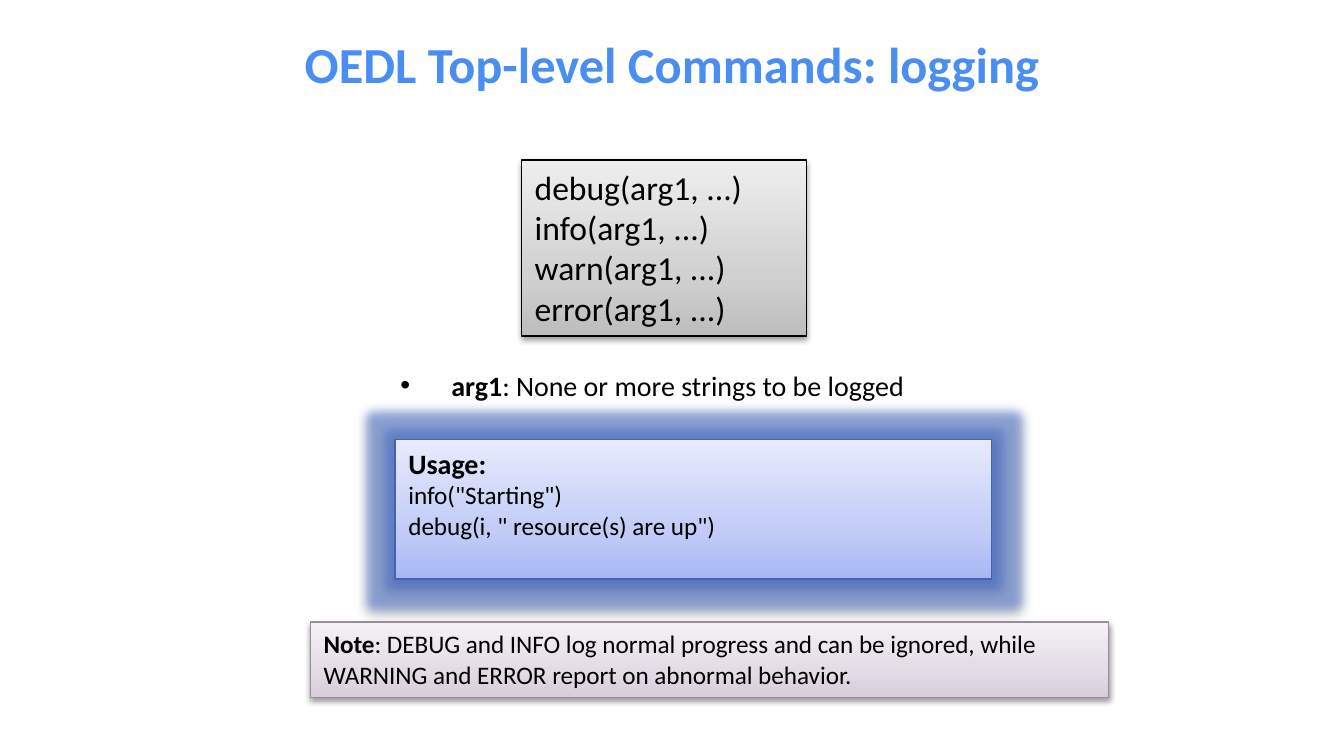
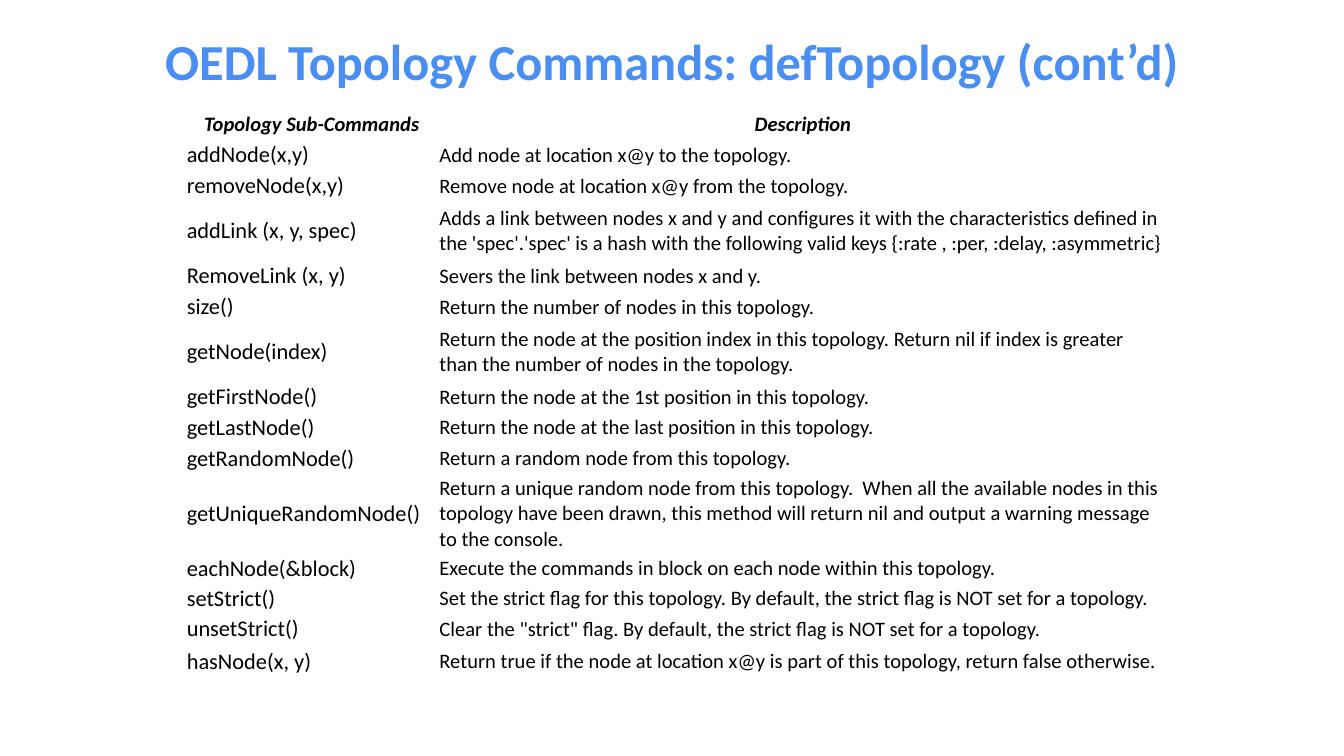
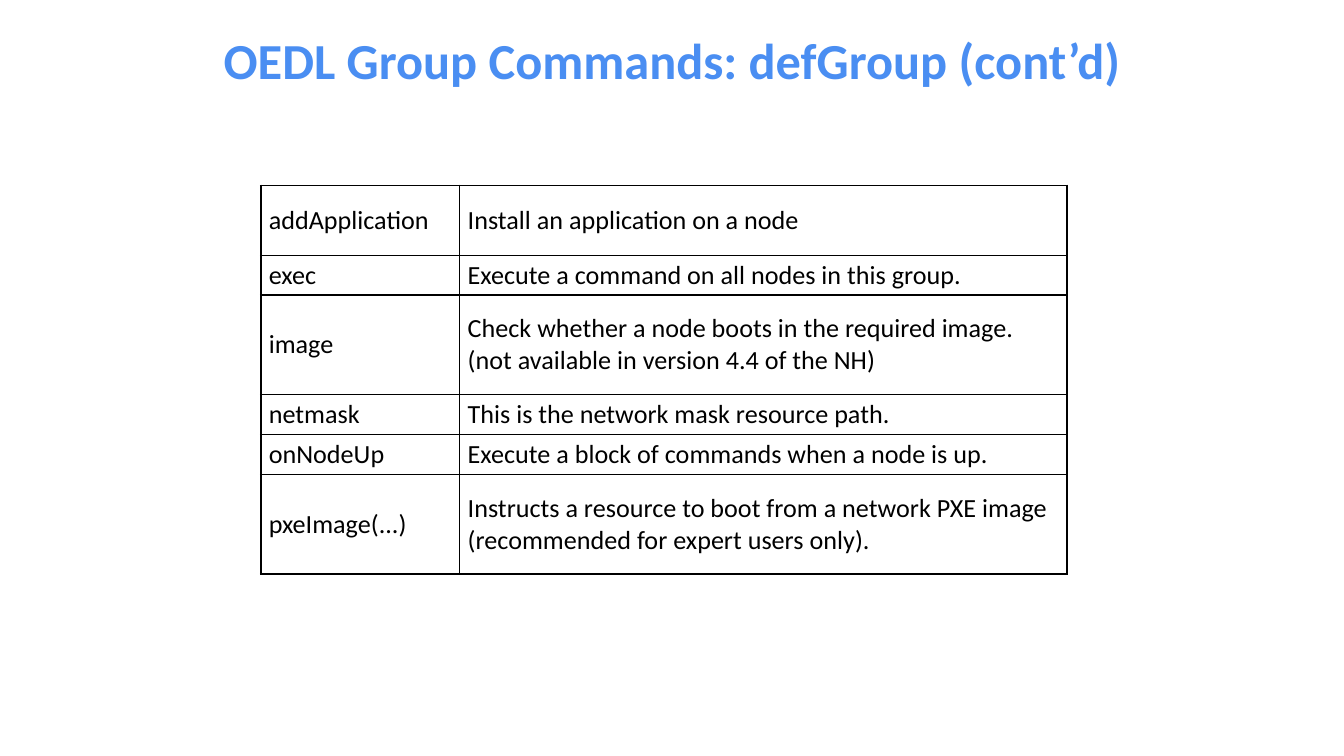
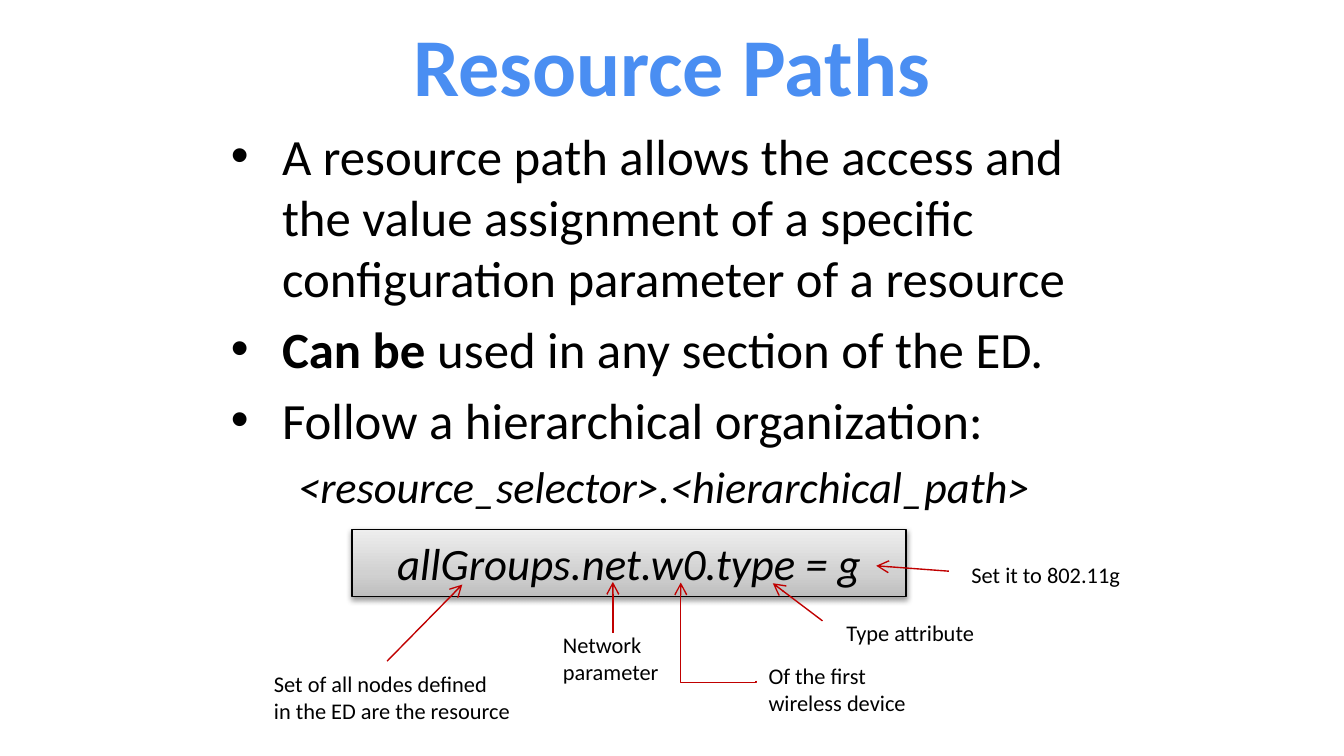
import copy
from dataclasses import dataclass
from typing import NamedTuple, Optional

import pptx
import pptx.dml.color
import pptx.enum.shapes
import pptx.enum.text
import pptx.oxml
import pptx.oxml.ns
import pptx.util
from lxml import etree
from pptx.util import Inches

FONT = "Calibri"
COLORS = {
    "title": "4A8EF2",
    "text": "000000",
    "arrow": "C00000",
    "glow": "4169C8",
    "usage_line": "4663AB",
    "note_line": "9A8C9D",
}
# Gradient stops, from the bottom edge up
GRADIENTS = {
    "grey": ("BDBDBD", "D1D1D1", "EEEEEE"),
    "blue": ("A8B7F4", "C2CCF6", "E7EBFD"),
    "mauve": ("D9CCDC", "E3DBE5", "F4F1F5"),
}
GRADIENT_POSITIONS = (0, 0.35, 1)
ALIGN = pptx.enum.text.PP_ALIGN
ANCHOR = pptx.enum.text.MSO_ANCHOR
AUTO_SIZE = pptx.enum.text.MSO_AUTO_SIZE
CONNECTOR = pptx.enum.shapes.MSO_CONNECTOR
qn = pptx.oxml.ns.qn


class Box(NamedTuple):
    left: float
    top: float
    width: float
    height: float

    def lengths(self) -> tuple:
        return tuple(Inches(value) for value in self)


class Shadow(NamedTuple):
    alpha: int
    blur: float
    distance: float


@dataclass
class Para:
    """A paragraph; lead is its bold opening."""
    text: str
    size: float
    lead: str = ""
    bold: bool = False
    italic: bool = False
    align: ALIGN = ALIGN.LEFT
    color: str = "text"
    bullet: bool = False
    level: int = 0
    margin: float = 0
    hanging: float = 0
    before: float = 0


@dataclass
class Panel:
    box: Box
    gradient: str
    line: str
    paras: list
    shadow: Shadow = Shadow(38, 3.1, 1.6)
    glow: float = 0


@dataclass
class Grid:
    box: Box
    columns: tuple
    heights: list
    rows: list
    margins: tuple
    border: Optional[float] = None


class Arrow(NamedTuple):
    x1: float
    y1: float
    x2: float
    y2: float


class Label(NamedTuple):
    box: Box
    lines: tuple


# Drawing helpers

def rgb(name: str) -> pptx.dml.color.RGBColor:
    return pptx.dml.color.RGBColor.from_string(COLORS[name])


def add_xml(parent, tag: str, **attributes):
    child = etree.SubElement(parent, qn(tag))
    for key, value in attributes.items():
        child.set(key, str(value))
    return child


def write(frame, paras: list) -> None:
    for index, para in enumerate(paras):
        paragraph = frame.paragraphs[0] if index == 0 else frame.add_paragraph()
        paragraph.alignment = para.align
        paragraph.level = para.level
        font = paragraph.font
        font.name, font.size = FONT, pptx.util.Pt(para.size)
        font.bold, font.italic = para.bold, para.italic
        font.color.rgb = rgb(para.color)
        if para.lead:
            lead = paragraph.add_run()
            lead.text = para.lead
            lead.font.bold = True
        paragraph.add_run().text = para.text
        if para.before:
            paragraph.space_before = pptx.util.Pt(para.before)
        properties = paragraph._p.get_or_add_pPr()
        if para.margin:
            properties.set("marL", str(Inches(para.margin)))
            properties.set("indent", str(Inches(-para.hanging)))
        if para.bullet:
            defaults = properties.find(qn("a:defRPr"))
            for tag, key, value in (("a:buFont", "typeface", "Arial"),
                                    ("a:buChar", "char", "•")):
                mark = etree.Element(qn(tag))
                mark.set(key, value)
                defaults.addprevious(mark)


def new_slide(deck, title: str, top: float = 0, height: float = 0.94, size: float = 27):
    slide = deck.slides.add_slide(deck.slide_layouts[5])
    heading = slide.shapes.title
    heading.left, heading.top, heading.width, heading.height = Box(0, top, 10, height).lengths()
    heading.text_frame.vertical_anchor = ANCHOR.MIDDLE
    write(heading.text_frame, [Para(title, size, bold=True, align=ALIGN.CENTER, color="title")])
    return slide


def add_text(slide, box: Box, paras: list, wrap: bool = True) -> None:
    frame = slide.shapes.add_textbox(*box.lengths()).text_frame
    frame.word_wrap = wrap
    frame.auto_size = AUTO_SIZE.NONE if wrap else AUTO_SIZE.SHAPE_TO_FIT_TEXT
    write(frame, paras)


def add_panel(slide, panel: Panel) -> None:
    shape = slide.shapes.add_shape(
        pptx.enum.shapes.MSO_SHAPE.RECTANGLE, *panel.box.lengths())
    shape.fill.gradient()
    shape.fill.gradient_angle = 90
    stops = next(shape.element.iter(qn("a:gsLst")))
    stops.append(copy.deepcopy(stops[-1]))
    for stop, position, color in zip(
            shape.fill.gradient_stops, GRADIENT_POSITIONS, GRADIENTS[panel.gradient]):
        stop.position = position
        stop.color.rgb = pptx.dml.color.RGBColor.from_string(color)
    shape.line.color.rgb = rgb(panel.line)
    shape.line.width = pptx.util.Pt(0.75)

    # Glow and soft shadow
    shape.shadow.inherit = False
    effects = shape.element.spPr.find(qn("a:effectLst"))
    if panel.glow:
        glow = add_xml(effects, "a:glow", rad=Inches(panel.glow))
        tint = add_xml(glow, "a:srgbClr", val=COLORS["glow"])
        add_xml(tint, "a:alpha", val=50000)
    shadow = add_xml(effects, "a:outerShdw", blurRad=pptx.util.Pt(panel.shadow.blur),
                     dist=pptx.util.Pt(panel.shadow.distance), dir=5400000, rotWithShape=0)
    tint = add_xml(shadow, "a:srgbClr", val=COLORS["text"])
    add_xml(tint, "a:alpha", val=panel.shadow.alpha * 1000)

    frame = shape.text_frame
    frame.word_wrap = True
    frame.vertical_anchor = ANCHOR.TOP
    write(frame, panel.paras)


def add_grid(slide, grid: Grid) -> None:
    graphic = slide.shapes.add_table(
        len(grid.rows), len(grid.columns), *grid.box.lengths())
    table = graphic.table
    table.first_row = table.horz_banding = False
    for column, width in zip(table.columns, grid.columns):
        column.width = Inches(width)
    for row, height, contents in zip(table.rows, grid.heights, grid.rows):
        row.height = Inches(height)
        for cell, paras in zip(row.cells, contents):
            cell.fill.background()
            cell.vertical_anchor = ANCHOR.MIDDLE
            cell.margin_left = cell.margin_right = Inches(grid.margins[0])
            cell.margin_top = cell.margin_bottom = Inches(grid.margins[1])
            write(cell.text_frame, paras)
    if grid.border:
        for properties in graphic.element.iter(qn("a:tcPr")):
            for index, side in enumerate("LRTB"):
                edge = add_xml(properties, f"a:ln{side}", w=pptx.util.Pt(grid.border))
                add_xml(add_xml(edge, "a:solidFill"), "a:srgbClr", val=COLORS["text"])
                properties.insert(index, edge)


def add_arrow(slide, arrow: Arrow, kind=CONNECTOR.STRAIGHT):
    connector = slide.shapes.add_connector(kind, *(Inches(value) for value in arrow))
    connector.line.color.rgb = rgb("arrow")
    connector.line.width = pptx.util.Pt(0.75)
    properties = connector.element.spPr
    add_xml(properties.find(qn("a:ln")), "a:tailEnd", type="arrow")
    add_xml(properties, "a:effectLst")
    return connector


# Slides

def logging_slide(deck) -> None:
    slide = new_slide(deck, "OEDL Top-level Commands: logging")
    add_text(slide, Box(2.88, 2.69, 6.19, 0.38), [
        Para(": None or more strings to be logged", 15, lead="arg1",
             bullet=True, margin=0.38, hanging=0.38, before=3)])
    levels = ("debug", "info", "warn", "error")
    panels = [
        Panel(Box(3.88, 1.19, 2.12, 1.31), "grey", "text",
              [Para(f"{level}(arg1, ...)", 18) for level in levels]),
        Panel(Box(2.94, 3.27, 4.44, 1.04), "blue", "usage_line",
              [Para("Usage:", 15, bold=True),
               Para('info("Starting")', 13.5),
               Para('debug(i, " resource(s) are up")', 13.5)],
              shadow=Shadow(35, 4, 3), glow=0.15),
        Panel(Box(2.31, 4.63, 5.94, 0.56), "mauve", "note_line",
              [Para(": DEBUG and INFO log normal progress and can be ignored, while "
                    "WARNING and ERROR report on abnormal behavior.", 13.5, lead="Note")]),
    ]
    for panel in panels:
        add_panel(slide, panel)


def topology_slide(deck) -> None:
    slide = new_slide(deck, "OEDL Topology Commands: defTopology (cont’d)", top=-0.02)
    commands = [
        ("addNode(x,y)", "Add node at location x@y to the topology.", 0.23),
        ("removeNode(x,y)", "Remove node at location x@y from the topology.", 0.23),
        ("addLink (x, y, spec)",
         "Adds a link between nodes x and y and configures it with the characteristics "
         "defined in the 'spec'.'spec' is a hash with the following valid keys "
         "{:rate , :per, :delay, :asymmetric}", 0.44),
        ("RemoveLink (x, y)", "Severs the link between nodes x and y.", 0.23),
        ("size()", "Return the number of nodes in this topology.", 0.23),
        ("getNode(index)",
         "Return the node at the position index in this topology. Return nil if index "
         "is greater than the number of nodes in the topology.", 0.44),
        ("getFirstNode()", "Return the node at the 1st position in this topology.", 0.23),
        ("getLastNode()", "Return the node at the last position in this topology.", 0.23),
        ("getRandomNode()", "Return a random node from this topology.", 0.23),
        ("getUniqueRandomNode()",
         "Return a unique random node from this topology.  When all the available nodes "
         "in this topology have been drawn, this method will return nil and output a "
         "warning message to the console.", 0.54),
        ("eachNode(&block)",
         "Execute the commands in block on each node within this topology.", 0.23),
        ("setStrict()", "Set the strict flag for this topology. By default, the strict "
         "flag is NOT set for a topology.", 0.22),
        ("unsetStrict()", 'Clear the "strict" flag. By default, the strict flag is NOT '
         "set for a topology.", 0.23),
        ("hasNode(x, y)", "Return true if the node at location x@y is part of this "
         "topology, return false otherwise.", 0.25),
    ]
    header = [[Para(text, 11, bold=True, italic=True, align=ALIGN.CENTER)]
              for text in ("Topology Sub-Commands", "Description")]
    rows = [[[Para(command, 12)], [Para(description, 11)]]
            for command, description, _ in commands]
    add_grid(slide, Grid(
        Box(1.38, 0.81, 7.31, 4.19), (1.88, 5.43),
        [0.23] + [height for _, _, height in commands], [header] + rows, (0.01, 0.01)))


def group_slide(deck) -> None:
    slide = new_slide(deck, "OEDL Group Commands: defGroup (cont’d)", height=0.88)
    commands = [
        ("addApplication", ["Install an application on a node"], 0.52),
        ("exec", ["Execute a command on all nodes in this group."], 0.29),
        ("image", ["Check whether a node boots in the required image.",
                   "(not available in version 4.4 of the NH)"], 0.74),
        ("netmask", ["This is the network mask resource path."], 0.29),
        ("onNodeUp", ["Execute a block of commands when a node is up."], 0.29),
        ("pxeImage(...)", ["Instructs a resource to boot from a network PXE image "
                           "(recommended for expert users only)."], 0.74),
    ]
    rows = [[[Para(command, 14)], [Para(line, 14) for line in lines]]
            for command, lines, _ in commands]
    add_grid(slide, Grid(
        Box(1.94, 1.38, 6, 2.87), (1.48, 4.52),
        [height for _, _, height in commands], rows, (0.06, 0.03), border=1))


def resource_slide(deck) -> None:
    slide = new_slide(deck, "Resource Paths", size=44)
    points = [
        ("", "A resource path allows the access and the value assignment of a specific "
             "configuration parameter of a resource"),
        ("Can be ", "used in any section of the ED."),
        ("", "Follow a hierarchical organization:"),
    ]
    paras = [Para(text, 27.2, lead=lead, bullet=True, margin=0.38, hanging=0.38, before=5.4)
             for lead, text in points]
    paras.append(Para("<resource_selector>.<hierarchical_path>", 23.8, italic=True,
                      level=1, margin=0.81, hanging=0.31, before=4.8))
    add_text(slide, Box(1.62, 0.88, 6.75, 2.87), paras)
    add_panel(slide, Panel(
        Box(2.62, 3.94, 4.12, 0.5), "grey", "text",
        [Para("allGroups.net.w0.type = g", 24, italic=True, align=ALIGN.CENTER)]))

    # Arrows from the labels to the parts of the path
    for arrow in (Arrow(2.88, 4.92, 3.44, 4.35), Arrow(4.56, 4.71, 4.56, 4.33),
                  Arrow(6.12, 4.62, 5.75, 4.34), Arrow(7.06, 4.25, 6.52, 4.21)):
        add_arrow(slide, arrow)
    # The device arrow is an elbow turned a quarter so that it ends upwards
    device_arrow = add_arrow(slide, Arrow(4.98, 4.98, 5.71, 4.42), CONNECTOR.ELBOW)
    properties = device_arrow.element.spPr
    properties.find(qn("a:xfrm")).set("rot", str(270 * 60000))
    geometry = properties.find(qn("a:prstGeom"))
    adjustments = geometry.find(qn("a:avLst"))
    if adjustments is None:
        adjustments = add_xml(geometry, "a:avLst")
    add_xml(adjustments, "a:gd", name="adj1", fmla="val -2100")

    labels = [
        Label(Box(1.94, 4.94, 1.98, 0.5),
              ("Set of all nodes defined", "in the ED are the resource")),
        Label(Box(4.09, 4.65, 0.92, 0.5), ("Network", "parameter")),
        Label(Box(5.62, 4.88, 1.24, 0.5), ("Of the first", "wireless device")),
        Label(Box(6.2, 4.56, 1.16, 0.3), ("Type attribute",)),
        Label(Box(7.13, 4.13, 1.32, 0.3), ("Set it to 802.11g",)),
    ]
    for label in labels:
        add_text(slide, label.box, [Para(line, 12) for line in label.lines], wrap=False)


def main() -> None:
    deck = pptx.Presentation()
    # Widescreen, 16 to 9
    deck.slide_width, deck.slide_height = Inches(10), Inches(10) * 9 // 16
    for build in (logging_slide, topology_slide, group_slide, resource_slide):
        build(deck)
    deck.save("out.pptx")


if __name__ == "__main__":
    main()
